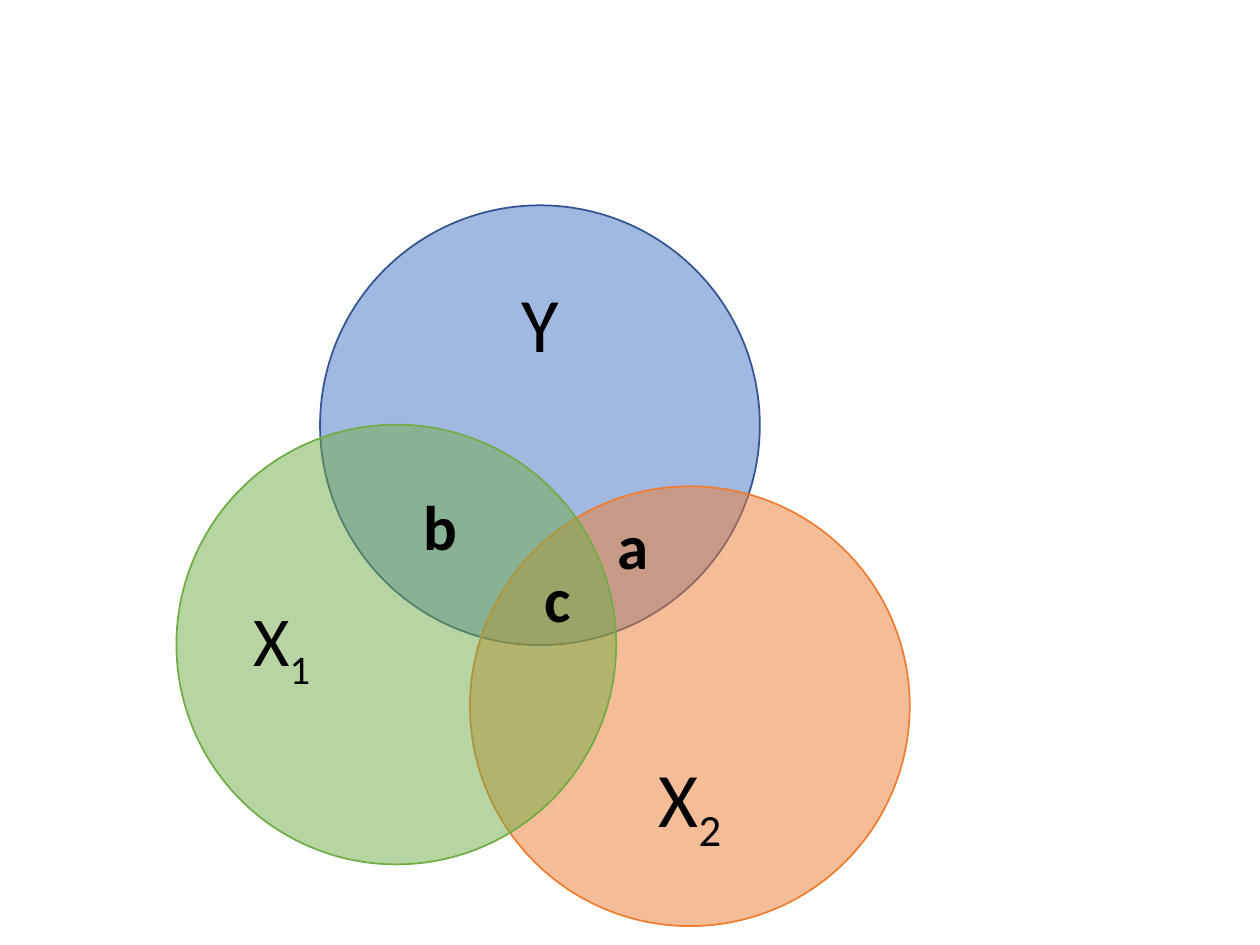
from pptx import Presentation
from pptx.dml.color import RGBColor
from pptx.enum.shapes import MSO_SHAPE
from pptx.enum.text import MSO_ANCHOR as Anchor, MSO_AUTO_SIZE as AutoSize, PP_ALIGN as Align
from pptx.oxml.ns import qn
from pptx.util import Inches, Pt
from lxml import etree

BLACK = RGBColor(0x00, 0x00, 0x00)
BLUE = RGBColor(0x44, 0x72, 0xC4)
DARK_BLUE = RGBColor(0x32, 0x54, 0x91)
ORANGE = RGBColor(0xED, 0x7D, 0x31)
GREEN = RGBColor(0x70, 0xAD, 0x47)
DIAMETER = Inches(3.49)


def add_run(paragraph, text, size, bold=False):
    run = paragraph.add_run()
    run.text = text
    font_format = {"name": "Calibri", "size": Pt(size), "bold": bold}
    for name, value in font_format.items():
        setattr(run.font, name, value)
    run.font.color.rgb = BLACK
    return run


presentation = Presentation()
presentation.slide_width = Inches(10)
presentation.slide_height = Inches(7.5)
slide = presentation.slides.add_slide(presentation.slide_layouts[6])

# Half-transparent circles: left, top, fill, line, letter, subscript, size, anchor, alignment
circles = [
    (2.54, 1.63, BLUE, DARK_BLUE, "Y", "", 44, Anchor.TOP, Align.CENTER),
    (3.73, 3.86, ORANGE, ORANGE, "X", "2", 44, Anchor.BOTTOM, Align.CENTER),
    (1.4, 3.37, GREEN, GREEN, "X", "1", 40, Anchor.MIDDLE, Align.LEFT),
]
for left, top, fill, line, letter, subscript, size, anchor, alignment in circles:
    circle = slide.shapes.add_shape(
        MSO_SHAPE.OVAL, Inches(left), Inches(top), DIAMETER, DIAMETER)
    circle.shadow.inherit = False
    circle.fill.solid()
    circle.fill.fore_color.rgb = fill
    color = circle._element.spPr.find(qn("a:solidFill"))[0]
    etree.SubElement(color, qn("a:alpha")).set("val", "50000")
    circle.line.color.rgb = line
    circle.line.width = Pt(1)
    circle.text_frame.vertical_anchor = anchor
    paragraph = circle.text_frame.paragraphs[0]
    paragraph.alignment = alignment
    add_run(paragraph, letter, size)
    if subscript:
        run = add_run(paragraph, subscript, size)
        run._r.get_or_add_rPr().set("baseline", "-25000")

# Labels of the overlaps: text, left, top, width
overlaps = [("a", 4.8, 3.97, 0.45), ("b", 3.26, 3.82, 0.47), ("c", 4.22, 4.39, 0.41)]
for text, left, top, width in overlaps:
    label = slide.shapes.add_textbox(
        Inches(left), Inches(top), Inches(width), Inches(0.71))
    frame_format = {"word_wrap": False, "auto_size": AutoSize.SHAPE_TO_FIT_TEXT}
    for name, value in frame_format.items():
        setattr(label.text_frame, name, value)
    add_run(label.text_frame.paragraphs[0], text, 36, bold=True)

presentation.save("out.pptx")
